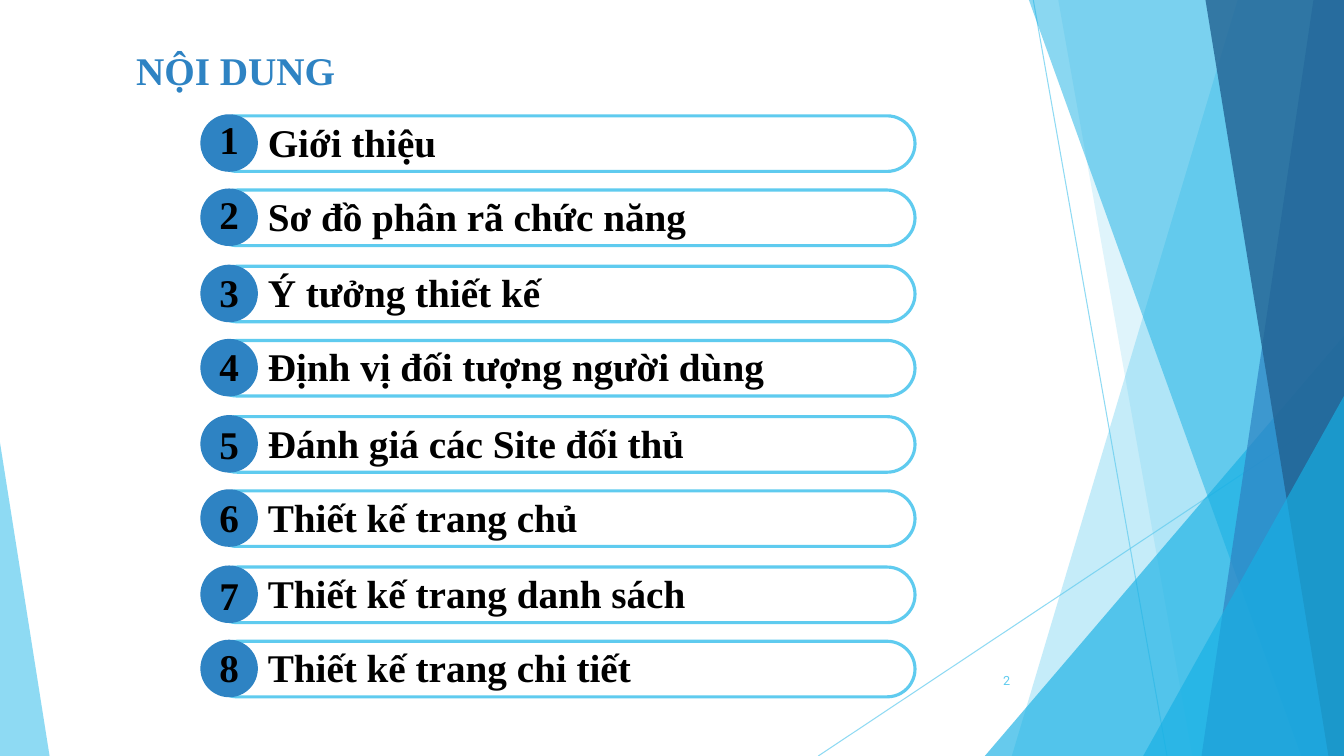
from lxml import etree
from pptx import Presentation
from pptx import util as u
from pptx.dml.color import RGBColor
from pptx.enum import shapes, text
from pptx.oxml.ns import qn
from pptx.util import Cm

COLORS = {
    "sky": "5FCBEF",
    "cyan": "17B0E4",
    "blue": "2E83C3",
    "navy": "226292",
    "black": "000000",
}
SLIDE_W, SLIDE_H = 33.87, 19.05

# Contents entries: wording and vertical nudge of the number (cm)
ENTRIES = [
    ("Giới thiệu", -0.08),
    ("Sơ đồ phân rã chức năng", -0.05),
    ("Ý tưởng thiết kế", 0),
    ("Định vị đối tượng người dùng", 0),
    ("Đánh giá các Site đối thủ", 0.03),
    ("Thiết kế trang chủ", 0),
    ("Thiết kế trang danh sách", 0.05),
    ("Thiết kế trang chi tiết", 0),
]
FIRST_TOP, PAIR_PITCH, ROW_PITCH = 2.92, 3.79, 1.87


def rgb(name):
    return RGBColor.from_string(COLORS[name])


def set_alpha(color_parent, percent):
    color = color_parent.find(".//" + qn("a:srgbClr"))
    etree.SubElement(color, qn("a:alpha")).set("val", str(percent * 1000))


def paint(shape, fill=None, alpha=100, line=None, width=0):
    shape.shadow.inherit = False
    if fill:
        shape.fill.solid()
        shape.fill.fore_color.rgb = rgb(fill)
        if alpha < 100:
            set_alpha(shape._element.spPr.find(qn("a:solidFill")), alpha)
    else:
        shape.fill.background()
    if line:
        shape.line.color.rgb = rgb(line)
        shape.line.width = u.Pt(width)
    else:
        shape.line.fill.background()


def add_preset(slide, kind, box, adjust=None, **look):
    shape = slide.shapes.add_shape(kind, *map(Cm, box))
    if adjust is not None:
        shape.adjustments[0] = adjust
    paint(shape, **look)


def add_band(slide, top_x, bottom_x, fill, alpha):
    """Full-height band from a slanted left edge to the right side."""
    builder = slide.shapes.build_freeform(Cm(top_x), 0)
    corners = [(SLIDE_W, 0), (SLIDE_W, SLIDE_H), (bottom_x, SLIDE_H)]
    builder.add_line_segments([(Cm(x), Cm(y)) for x, y in corners], close=True)
    paint(builder.convert_to_shape(), fill, alpha)


def add_hairline(slide, *ends):
    hairline = slide.shapes.add_connector(
        shapes.MSO_CONNECTOR.STRAIGHT, *map(Cm, ends))
    hairline.line.color.rgb = rgb("sky")
    hairline.line.width = u.Pt(0.75)
    properties = hairline._element.spPr
    set_alpha(properties.find(qn("a:ln")), 70)
    etree.SubElement(properties, qn("a:effectLst"))


def add_text(slide, words, box, size=28, font="Times New Roman", color="black",
             bold=True, align=text.PP_ALIGN.LEFT, anchor=text.MSO_ANCHOR.TOP):
    frame = slide.shapes.add_textbox(*map(Cm, box)).text_frame
    frame.word_wrap = True
    frame.vertical_anchor = anchor
    paragraph = frame.paragraphs[0]
    paragraph.alignment = align
    run = paragraph.add_run()
    run.text = words
    run.font.size = u.Pt(size)
    run.font.name = font
    run.font.bold = bold
    run.font.color.rgb = rgb(color)


def add_backdrop(slide):
    triangle = shapes.MSO_SHAPE.ISOSCELES_TRIANGLE
    add_hairline(slide, 26.04, 0, 29.41, SLIDE_H)
    add_hairline(slide, SLIDE_W, 10.24, 20.62, SLIDE_H)
    add_band(slide, 31.19, 25.5, "sky", 36)
    add_band(slide, 26.67, 30.05, "sky", 20)
    add_preset(slide, triangle, (24.82, 8.46, 9.05, 10.59), 1,
               fill="cyan", alpha=66)
    add_band(slide, 25.93, 32.79, "cyan", 50)
    add_band(slide, 33.1, 30.28, "blue", 70)
    add_band(slide, 30.38, 33.48, "navy", 80)
    add_preset(slide, triangle, (28.81, 9.98, 5.06, 9.07), 1,
               fill="cyan", alpha=66)
    add_preset(slide, triangle, (0, 11.15, 1.25, 7.9), 0,
               fill="sky", alpha=70)


def add_entry(slide, number, title, top, nudge):
    add_preset(slide, shapes.MSO_SHAPE.ROUNDED_RECTANGLE,
               (5.28, top, 17.78, 1.4), 0.5, line="sky", width=2.25)
    add_preset(slide, shapes.MSO_SHAPE.OVAL,
               (5.05, top - 0.04, 1.45, 1.45), fill="blue")
    add_text(slide, title, (6.5, top - 0.07, 13.82, 1.45))
    add_text(slide, str(number), (5.28, top - 0.07 + nudge, 0.79, 1.45))


def main():
    deck = Presentation()
    deck.slide_width, deck.slide_height = Cm(SLIDE_W), Cm(SLIDE_H)
    slide = deck.slides.add_slide(deck.slide_layouts[6])

    add_backdrop(slide)

    # Heading and contents list, spaced in pairs of rows
    add_text(slide, "NỘI DUNG", (3.18, 1.04, 6.68, 1.45), color="blue")
    for index, (title, nudge) in enumerate(ENTRIES):
        pair, row = divmod(index, 2)
        top = FIRST_TOP + pair * PAIR_PITCH + row * ROW_PITCH
        add_entry(slide, index + 1, title, top, nudge)

    # Page number
    add_text(slide, "2", (23.83, 16.64, 1.88, 1.02), size=9, font="Roboto",
             color="sky", bold=False, align=text.PP_ALIGN.RIGHT,
             anchor=text.MSO_ANCHOR.MIDDLE)

    deck.save("out.pptx")


if __name__ == "__main__":
    main()
